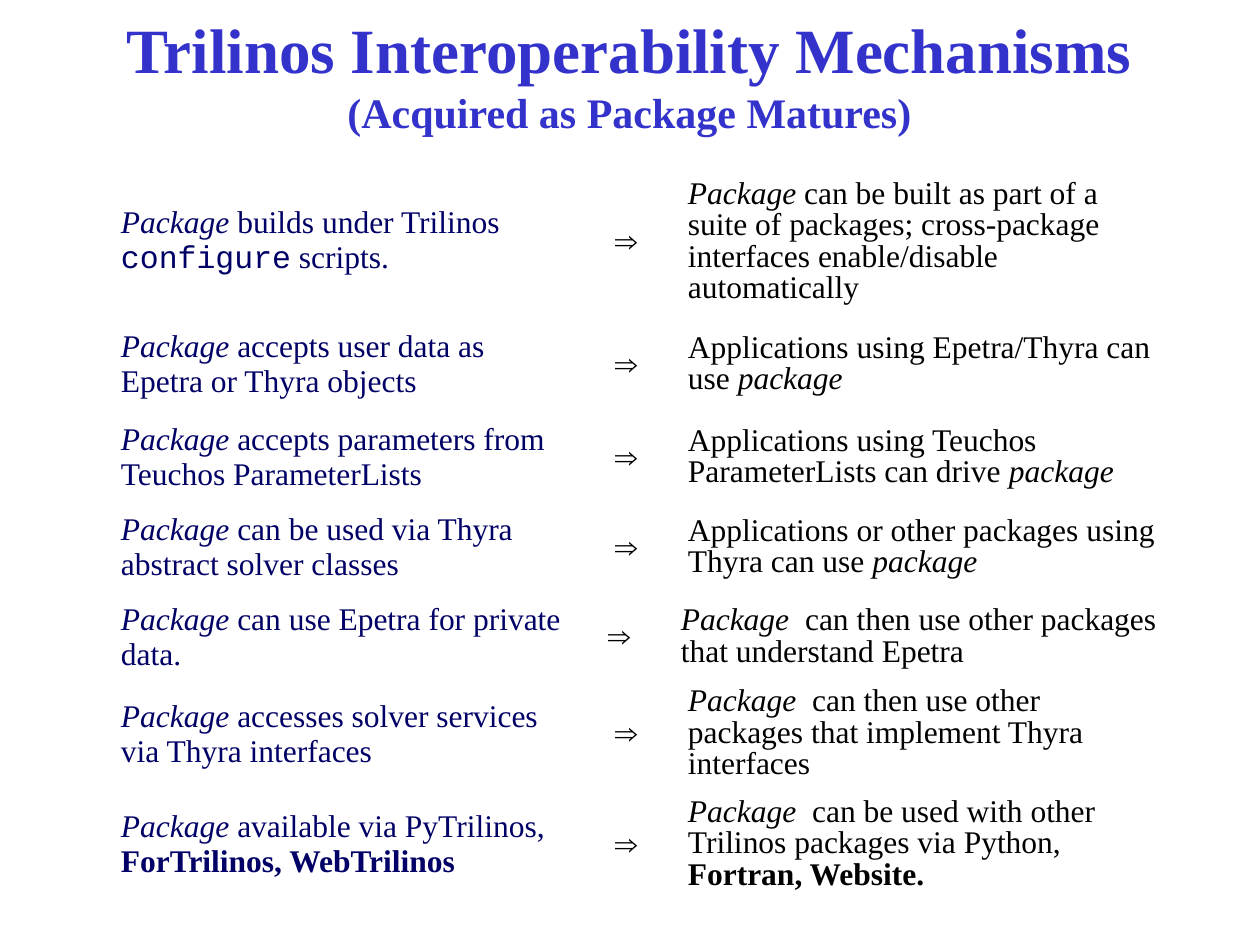
from pptx import Presentation
from pptx.dml.color import RGBColor
from pptx.enum.text import MSO_ANCHOR, MSO_AUTO_SIZE, PP_ALIGN
from pptx.util import Pt

SCALE = 914400 / 126
SERIF = "Times New Roman"
BLUE, NAVY, BLACK = "3333CC", "000066", "000000"
COLS = [494, 73, 525]
ROWS = [148, 97, 89, 91, 88, 97, 115]
PACK = ("Package", "i")
LAST = ("package", "i")
PAIRS = [
    ([PACK, (" builds under Trilinos ", ""), ("configure", "m"), (" scripts.", "")],
     [PACK, (" can be built as part of a suite of packages; cross-package "
             "interfaces enable/disable automatically", "")]),
    ([PACK, (" accepts user data as Epetra or Thyra objects", "")],
     [("Applications using Epetra/Thyra can use ", ""), LAST]),
    ([PACK, (" accepts parameters from Teuchos ParameterLists", "")],
     [("Applications using Teuchos ParameterLists can drive ", ""), LAST]),
    ([PACK, (" can be used via Thyra abstract solver classes", "")],
     [("Applications or other packages using Thyra can use ", ""), LAST]),
    ([PACK, (" can use Epetra for private data.", "")],
     [("Package ", "i"), (" can then use other packages that understand Epetra", "")]),
    ([PACK, (" accesses solver services via Thyra interfaces", "")],
     [PACK, ("  can then use other packages that implement Thyra interfaces", "")]),
    ([PACK, (" available via PyTrilinos,", ""), ("\n", ""),
      ("ForTrilinos, WebTrilinos", "b")],
     [PACK, ("  can be used with other Trilinos packages via Python, ", ""),
      ("Fortran, Website.", "b")]),
]
TIGHT = 4


def px(n):
    return round(n * SCALE)


def tint(font, code):
    font.color.rgb = RGBColor.from_string(code)


def add_run(para, text, size, code, face=SERIF, bold=False, slant=False):
    run = para.add_run()
    run.text = text
    font = run.font
    font.size, font.name = Pt(size), face
    font.bold, font.italic = bold, slant
    tint(font, code)


def add_title(slide, x, y, w, h):
    title = slide.shapes.title
    title.left, title.top, title.width, title.height = map(px, (x, y, w, h))
    frame = title.text_frame
    frame.word_wrap = True
    frame.auto_size = MSO_AUTO_SIZE.NONE
    frame.vertical_anchor = MSO_ANCHOR.MIDDLE
    para = frame.paragraphs[0]
    para.alignment = PP_ALIGN.CENTER
    add_run(para, "Trilinos Interoperability Mechanisms", 36, BLUE, bold=True)
    para.add_line_break()
    add_run(para, "(Acquired as Package Matures)", 24, BLUE, bold=True)


def fill_cell(cell, runs, code, side, face=SERIF, lead=None):
    cell.fill.background()
    cell.vertical_anchor = MSO_ANCHOR.MIDDLE
    cell.margin_left = cell.margin_right = px(side)
    cell.margin_top = cell.margin_bottom = px(6)
    para = cell.text_frame.paragraphs[0]
    para.space_before = Pt(4.5)
    para.line_spacing = lead
    props = para._p.get_or_add_pPr()
    props.set("marL", str(px(24)))
    props.set("indent", "0")
    for text, mark in runs:
        if text == "\n":
            para.add_line_break()
        else:
            add_run(para, text, 18, code, "Courier New" if mark == "m" else face,
                    mark == "b", mark == "i")


def add_grid(slide, x, y):
    frame = slide.shapes.add_table(len(ROWS), len(COLS), px(x), px(y),
                                   px(sum(COLS)), px(sum(ROWS)))
    table = frame.table
    table.first_row = table.horz_banding = False
    for col, w in zip(table.columns, COLS):
        col.width = px(w)
    for i, (h, (left, right)) in enumerate(zip(ROWS, PAIRS)):
        table.rows[i].height = px(h)
        side = 6 if i == TIGHT else 13
        fill_cell(table.cell(i, 0), left, NAVY, 13)
        fill_cell(table.cell(i, 1), [("⇒", "")], BLACK, side, "Arial")
        fill_cell(table.cell(i, 2), right, BLACK, side, lead=0.9)


def main():
    deck = Presentation()
    deck.slide_width, deck.slide_height = px(1260), px(945)
    slide = deck.slides.add_slide(deck.slide_layouts[5])
    add_title(slide, 94, 32, 1071, 84)
    add_grid(slide, 84, 168)
    deck.save("out.pptx")


if __name__ == "__main__":
    main()
